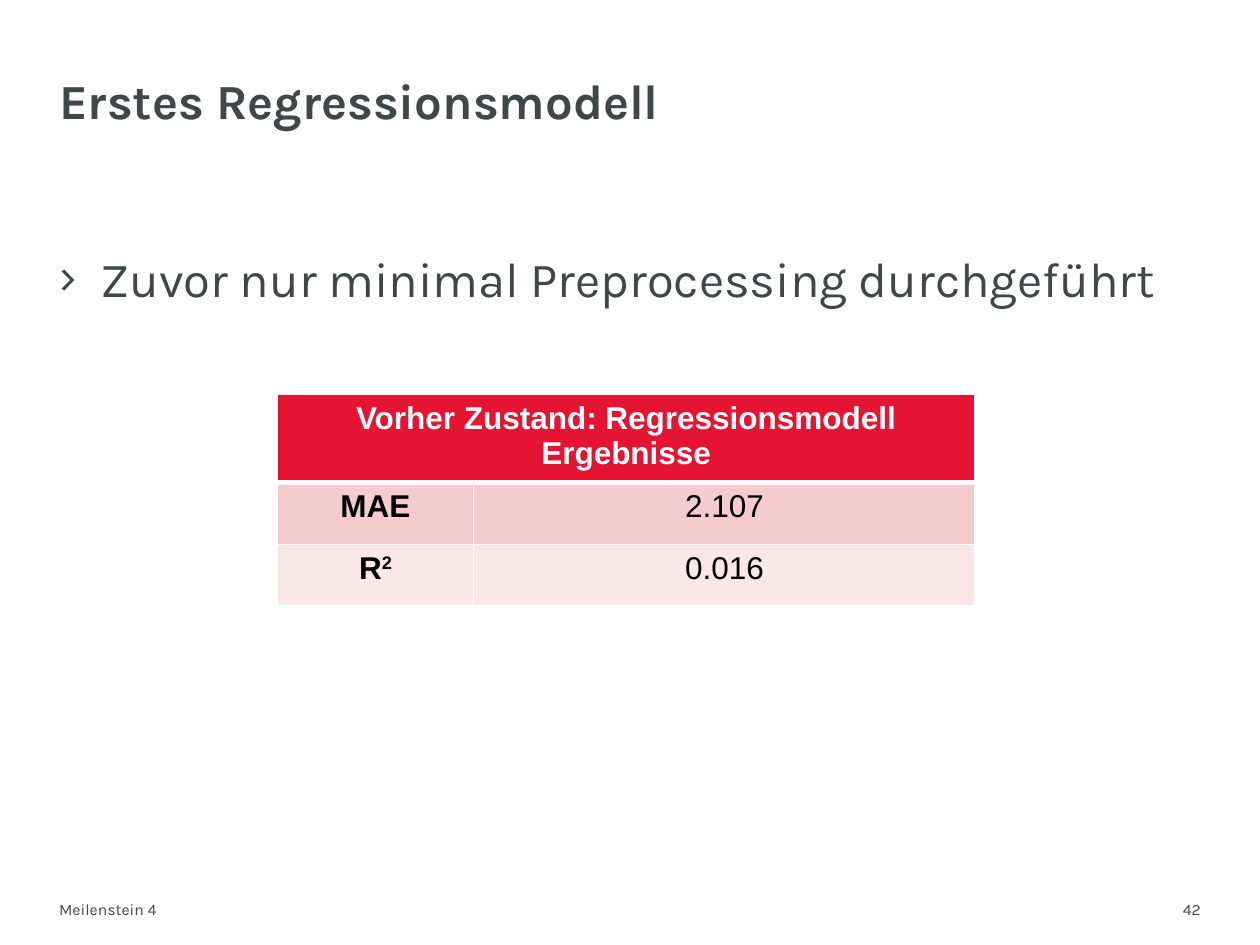
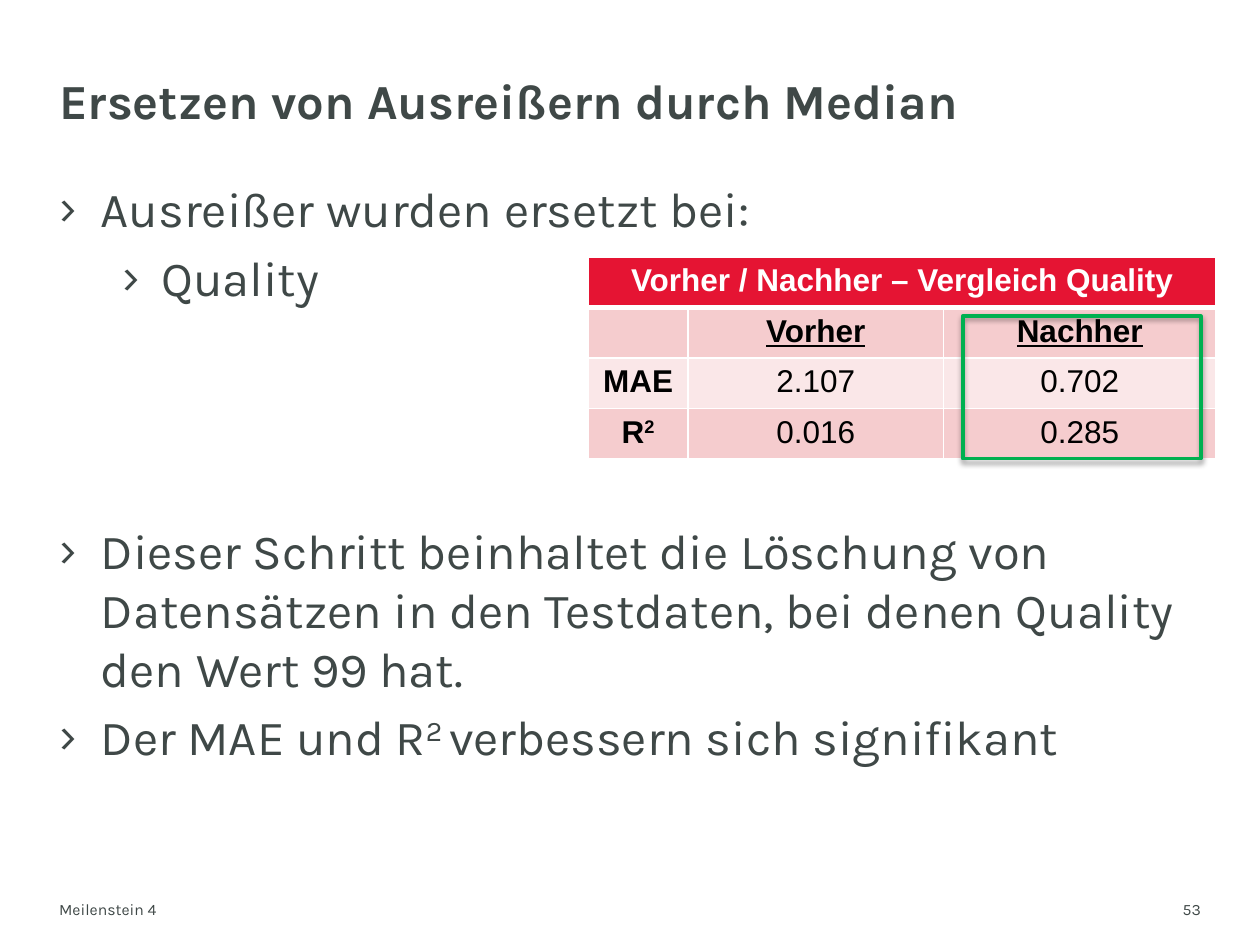
from lxml import etree
from pptx import Presentation
from pptx.dml.color import RGBColor
from pptx.enum.shapes import MSO_SHAPE
from pptx.enum.text import MSO_ANCHOR, PP_ALIGN
from pptx.oxml.ns import qn
from pptx.util import Inches, Pt

RECT = MSO_SHAPE.RECTANGLE
TOP, BOTTOM = MSO_ANCHOR.TOP, MSO_ANCHOR.BOTTOM
LEFT, CENTER, RIGHT = PP_ALIGN.LEFT, PP_ALIGN.CENTER, PP_ALIGN.RIGHT

BODY_FONT, TABLE_FONT = "Karla", "Arial"
INK, WHITE, BLACK = "3F4847", "FFFFFF", "000000"
HEADER_RED, BANDS = "E51433", ("F5CCCE", "FAE7E8")
HIGHLIGHT_GREEN = "00B050"
MARGIN = 0.47
BULLET_INDENTS = ((0.33, 0.33), (0.81, 0.31))


def rgb(value):
    return RGBColor.from_string(value)


def add_text(p, text, font=BODY_FONT, size=28, color=INK, bold=False,
             underline=False, align=LEFT):
    """Write text into a paragraph; parts between carets are superscript."""
    p.alignment = align
    for i, part in enumerate(text.split("^")):
        if not part:
            continue
        r = p.add_run()
        r.text = part
        r.font.name = font
        r.font.size = Pt(size)
        r.font.bold = bold
        r.font.underline = underline
        r.font.color.rgb = rgb(color)
        if i % 2:
            r._r.get_or_add_rPr().set("baseline", "30000")


def format_frame(tf, anchor):
    tf.word_wrap = True
    tf.vertical_anchor = anchor
    tf.margin_left = tf.margin_right = tf.margin_top = tf.margin_bottom = 0


def add_box(slide, left, top, width, height, anchor=TOP):
    sp = slide.shapes.add_textbox(Inches(left), Inches(top),
                                  Inches(width), Inches(height))
    format_frame(sp.text_frame, anchor)
    return sp.text_frame


def add_slide(prs, title, number):
    slide = prs.slides.add_slide(prs.slide_layouts[5])
    sp = slide.shapes.title
    sp.left, sp.top = Inches(MARGIN), Inches(0.24)
    sp.width, sp.height = Inches(9), Inches(0.79)
    format_frame(sp.text_frame, BOTTOM)
    p = sp.text_frame.paragraphs[0]
    p.line_spacing = Pt(30)
    add_text(p, title, bold=True)

    footer = add_box(slide, MARGIN, 7.08, 9.06, 0.21, BOTTOM)
    add_text(footer.paragraphs[0], "Meilenstein 4", size=9)
    page = add_box(slide, 8.78, 6.89, 0.75, 0.4, BOTTOM)
    add_text(page.paragraphs[0], str(number), size=9, align=RIGHT)
    return slide


def add_bullets(slide, top, items):
    tf = add_box(slide, MARGIN, top, 9.05, 7.03 - top)
    for i, (text, level, space_before) in enumerate(items):
        p = tf.add_paragraph() if i else tf.paragraphs[0]
        p.level = level
        left, hanging = BULLET_INDENTS[level]
        pPr = p._p.get_or_add_pPr()
        pPr.set("marL", str(Inches(left)))
        pPr.set("indent", str(-Inches(hanging)))
        etree.SubElement(pPr, qn("a:buFont"), typeface=BODY_FONT)
        etree.SubElement(pPr, qn("a:buChar"), char="›")
        if i:
            p.space_before = Pt(space_before)
        add_text(p, text)


def set_borders(cell, **widths):
    tcPr = cell._tc.get_or_add_tcPr()
    for side in "LRTB":
        ln = etree.SubElement(tcPr, qn("a:ln" + side),
                              w=str(Pt(widths.get(side, 1))))
        fill = etree.SubElement(ln, qn("a:solidFill"))
        etree.SubElement(fill, qn("a:srgbClr"), val=WHITE)


def fill_cell(cell, text, fill, **fmt):
    cell.fill.solid()
    cell.fill.fore_color.rgb = rgb(fill)
    add_text(cell.text_frame.paragraphs[0], text, font=TABLE_FONT, size=18,
             align=CENTER, **fmt)


def add_result_table(slide, left, top, col_widths, row_heights, title, rows,
                     column_heads=False):
    frame = slide.shapes.add_table(
        len(row_heights), len(col_widths), Inches(left), Inches(top),
        Inches(sum(col_widths)), Inches(sum(row_heights)))
    table = frame.table
    table.first_row = table.horz_banding = False
    for column, width in zip(table.columns, col_widths):
        column.width = Inches(width)
    for row, height in zip(table.rows, row_heights):
        row.height = Inches(height)

    for cell in table.rows[0].cells:
        set_borders(cell, B=3)
    header = table.cell(0, 0)
    header.merge(table.cell(0, len(col_widths) - 1))
    fill_cell(header, title, HEADER_RED, color=WHITE, bold=True)
    for i, values in enumerate(rows):
        for j, value in enumerate(values):
            cell = table.cell(i + 1, j)
            set_borders(cell, T=1 if i else 3)
            is_head = column_heads and i == 0
            fill_cell(cell, value, BANDS[i % 2], color=BLACK,
                      bold=is_head or j == 0, underline=is_head)


def add_highlight(slide, left, top, width, height):
    sp = slide.shapes.add_shape(RECT, Inches(left), Inches(top),
                                Inches(width), Inches(height))
    sp.fill.background()
    sp.line.color.rgb = rgb(HIGHLIGHT_GREEN)
    sp.line.width = Pt(2.25)
    sp.shadow.inherit = False
    effects = sp._element.spPr.find(qn("a:effectLst"))
    shadow = etree.SubElement(effects, qn("a:outerShdw"),
                              blurRad=str(Pt(3.1)), dist=str(Pt(1.8)),
                              dir="5400000", rotWithShape="0")
    color = etree.SubElement(shadow, qn("a:srgbClr"), val=BLACK)
    etree.SubElement(color, qn("a:alpha"), val="35000")


def main():
    prs = Presentation()
    prs.slide_width, prs.slide_height = Inches(10), Inches(7.5)

    slide = add_slide(prs, "Erstes Regressionsmodell", 42)
    add_bullets(slide, 1.97, [
        ("Zuvor nur minimal Preprocessing durchgeführt", 0, 0)])
    add_result_table(
        slide, 2.2, 3.13, (1.56, 3.98), (0.66, 0.49, 0.49),
        "Vorher Zustand: Regressionsmodell Ergebnisse",
        [("MAE", "2.107"), ("R^2^", "0.016")])

    slide = add_slide(prs, "Ersetzen von Ausreißern durch Median", 53)
    add_bullets(slide, 1.42, [
        ("Ausreißer wurden ersetzt bei:", 0, 0),
        ("Quality", 1, 5.6),
        ("Dieser Schritt beinhaltet die Löschung von Datensätzen in den "
         "Testdaten, bei denen Quality den Wert 99 hat.", 0, 122.4),
        ("Der MAE und R^2 ^verbessern sich signifikant", 0, 5.6)])
    add_result_table(
        slide, 4.67, 2.04, (0.79, 2.03, 2.16), (0.38,) * 4,
        "Vorher / Nachher – Vergleich Quality",
        [("", "Vorher", "Nachher"),
         ("MAE", "2.107", "0.702"),
         ("R^2^", "0.016", "0.285")], column_heads=True)
    add_highlight(slide, 7.64, 2.51, 1.89, 1.13)

    prs.save("out.pptx")


if __name__ == "__main__":
    main()
